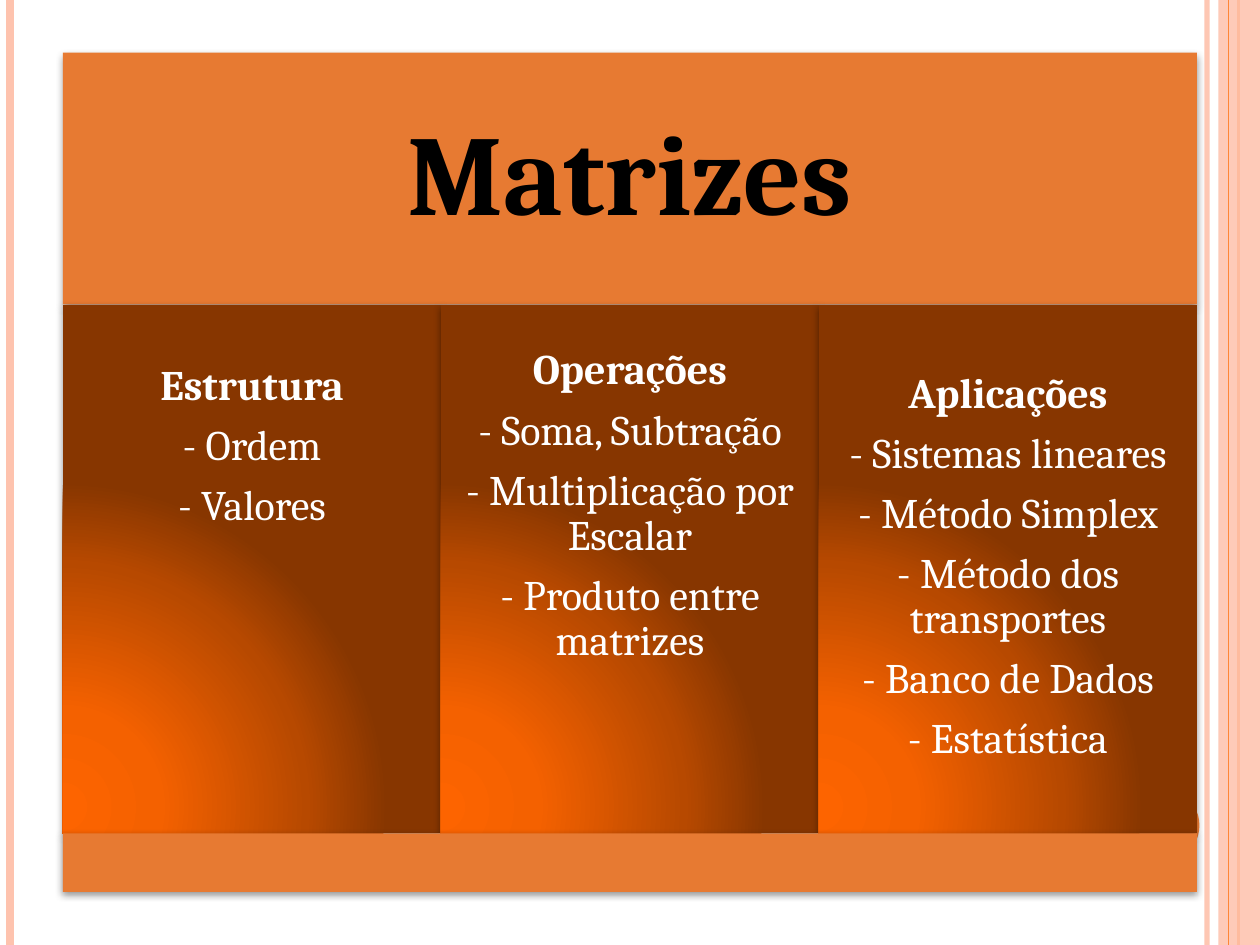
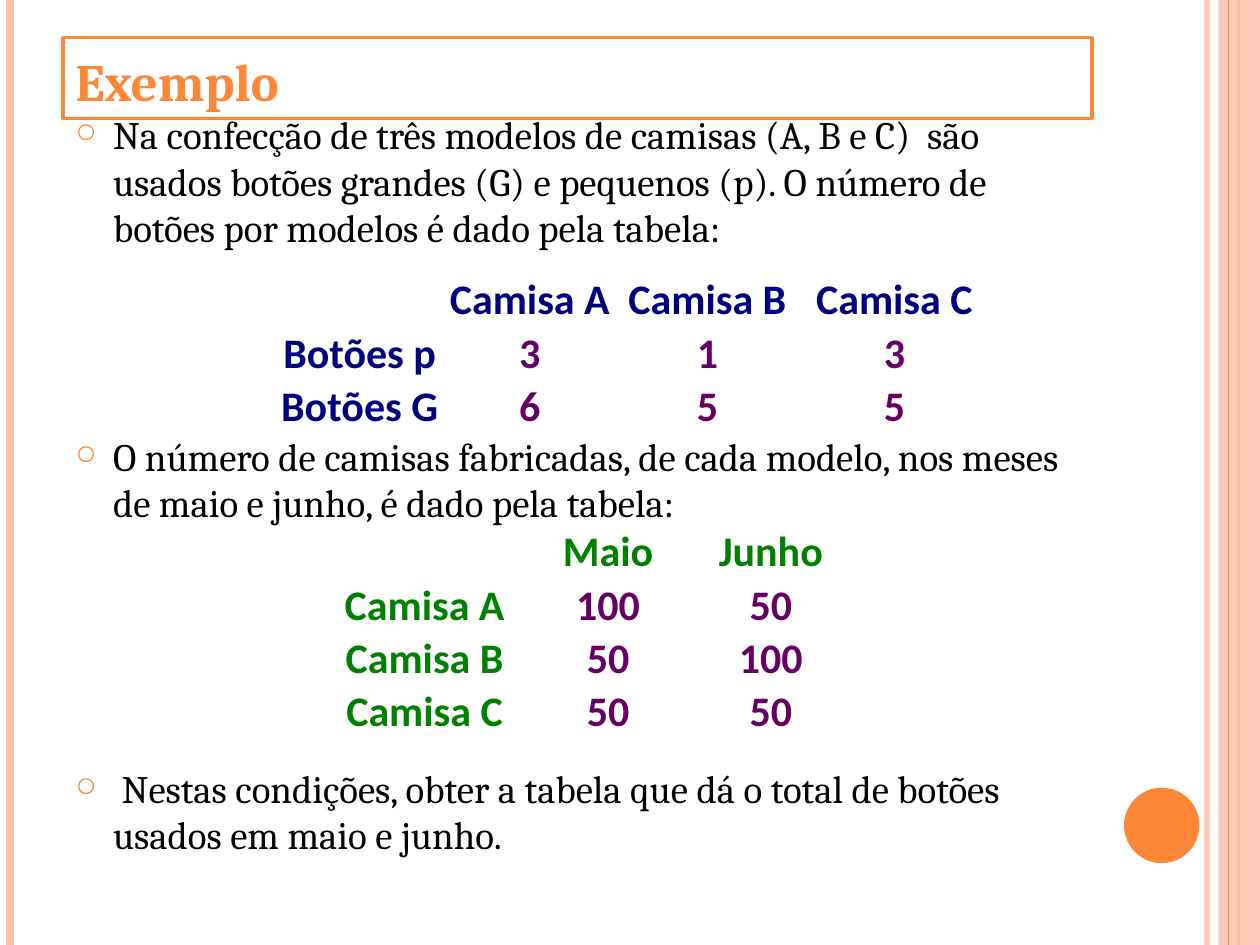
from lxml import etree
from pptx import Presentation
from pptx import util as u
from pptx.dml.color import RGBColor
from pptx.enum import shapes, text
from pptx.oxml import parse_xml
from pptx.oxml.ns import nsdecls, qn

COLOURS = {
    "orange": "FE8637", "peach": "FEC3AE", "band": "E77A32", "white": "FFFFFF",
    "black": "000000", "navy": "000080", "green": "008000", "purple": "660066",
}
GLOW_STOPS = [(0, "FD6400"), (30, "F46100"), (75, "B74900"), (100, "873600")]
NO_STYLE = "{2D5ABB26-0587-4C30-8999-92F81FD0307C}"
RECTANGLE = shapes.MSO_SHAPE.RECTANGLE
CENTRE = text.PP_ALIGN.CENTER
MIDDLE = text.MSO_ANCHOR.MIDDLE
LEFT = 1.27  # left edge of the content, in cm


def add_box(slide, kind, place, colour, shadow=False):
    """Add a borderless filled shape; place is left, top, width, height in cm."""
    shape = slide.shapes.add_shape(kind, *[u.Cm(value) for value in place])
    shape.fill.solid()
    shape.fill.fore_color.rgb = RGBColor.from_string(COLOURS[colour])
    shape.line.fill.background()
    shape.shadow.inherit = False
    if shadow:
        shape._element.spPr.find(qn("a:effectLst")).append(parse_xml(
            f'<a:outerShdw {nsdecls("a")} blurRad="50800" dist="20000" dir="5400000" '
            'rotWithShape="0"><a:srgbClr val="000000"><a:alpha val="42000"/></a:srgbClr>'
            '</a:outerShdw>'))
    return shape


def write(paragraph, words, colour, size, font="Cambria", bold=False, **layout):
    run = paragraph.add_run()
    run.text = words
    run.font.color.rgb = RGBColor.from_string(COLOURS[colour])
    for name, value in {"size": u.Pt(size), "name": font, "bold": bold}.items():
        setattr(run.font, name, value)
    for name, value in layout.items():
        setattr(paragraph, name, value)


presentation = Presentation()
presentation.slide_width, presentation.slide_height = u.Cm(25.4), u.Cm(19.05)
overview, example = [
    presentation.slides.add_slide(presentation.slide_layouts[6]) for _ in range(2)]

# Side decoration: centre of each rail in cm, colour, width in points, opacity
RAILS = [(24.33, "peach", 3, 93), (0.2, "peach", 4.5, 100),
         (24.97, "orange", 1.5, 100), (24.77, "orange", 0.75, 100)]

for slide in (overview, example):
    for x, colour, width, opacity in RAILS:
        rail = slide.shapes.add_connector(
            shapes.MSO_CONNECTOR.STRAIGHT, u.Cm(x), 0, u.Cm(x), presentation.slide_height)
        rail.line.color.rgb = RGBColor.from_string(COLOURS[colour])
        rail.line.width = u.Pt(width)
        properties = rail._element.spPr
        etree.SubElement(properties, qn("a:effectLst"))
        tint = next(properties.iter(qn("a:srgbClr")))
        etree.SubElement(tint, qn("a:alpha"), val=str(opacity * 1000))
    side_band = add_box(slide, RECTANGLE, (24.56, 0, 0.84, 19.05), "peach")
    tint = next(side_band._element.spPr.iter(qn("a:srgbClr")))
    etree.SubElement(tint, qn("a:alpha"), val="87000")
    # The thin rail lies over the band
    slide.shapes._spTree.append(rail._element)
    add_box(slide, shapes.MSO_SHAPE.OVAL, (22.66, 15.88, 1.52, 1.52), "orange")

# Slide 1: overview of matrices
header = add_box(overview, RECTANGLE, (LEFT, 1.06, 22.86, 5.08), "band", shadow=True)
header.text_frame.vertical_anchor = MIDDLE
write(header.text_frame.paragraphs[0], "Matrizes", "black", 65, bold=True,
      alignment=CENTRE, line_spacing=0.9)

# Heading, items, distance from the panel top to the text in cm
PANELS = [
    ("Estrutura", ["- Ordem", "- Valores"], 1.21),
    ("Operações", ["- Soma, Subtração", "- Multiplicação por Escalar",
                   "- Produto entre matrizes"], 0.89),
    ("Aplicações", ["- Sistemas lineares", "- Método Simplex", "- Método dos transportes",
                    "- Banco de Dados", "- Estatística"], 1.36),
]
PANEL_WIDTH = 7.62
stops = "".join(f'<a:gs pos="{position * 1000}"><a:srgbClr val="{colour}"/></a:gs>'
                for position, colour in GLOW_STOPS)
glow = (f'<a:gradFill {nsdecls("a")} rotWithShape="1"><a:gsLst>{stops}</a:gsLst>'
        '<a:path path="circle"><a:fillToRect l="5000" t="100000" r="120000" b="10000"/>'
        '</a:path></a:gradFill>')

for column, (heading, items, text_top) in enumerate(PANELS):
    panel = add_box(overview, RECTANGLE,
                    (LEFT + column * PANEL_WIDTH, 6.14, PANEL_WIDTH, 10.66), "band", shadow=True)
    properties = panel._element.spPr
    properties.replace(properties.find(qn("a:solidFill")), parse_xml(glow))
    frame = panel.text_frame
    frame_format = {"vertical_anchor": text.MSO_ANCHOR.TOP, "word_wrap": True,
                    "margin_left": u.Cm(0.25), "margin_right": u.Cm(0.25),
                    "margin_top": u.Cm(text_top)}
    for name, value in frame_format.items():
        setattr(frame, name, value)
    for row, words in enumerate([heading] + items):
        paragraph = frame.add_paragraph() if row else frame.paragraphs[0]
        write(paragraph, words, "white", 24, bold=row == 0, alignment=CENTRE,
              line_spacing=0.9, space_after=u.Pt(8.4))

add_box(overview, RECTANGLE, (LEFT, 16.8, 22.86, 1.18), "band", shadow=True)

# Slide 2: worked example
title = add_box(example, RECTANGLE, (LEFT, 0.76, 20.75, 1.63), "white")
title.line.color.rgb = RGBColor.from_string(COLOURS["orange"])
title.line.width = u.Pt(2)
title.text_frame.vertical_anchor = text.MSO_ANCHOR.BOTTOM
write(title.text_frame.paragraphs[0], "Exemplo", "orange", 30, bold=True,
      alignment=text.PP_ALIGN.LEFT)

# Text and space before it in points, which leaves room for the tables
STATEMENTS = [
    ("Na confecção de três modelos de camisas (A, B e C)  são usados botões grandes (G) "
     "e pequenos (p). O número de botões por modelos é dado pela tabela:", 6),
    ("O número de camisas fabricadas, de cada modelo, nos meses de maio e junho, "
     "é dado pela tabela:", 103.8),
    (" Nestas condições, obter a tabela que dá o total de botões usados em maio e junho.",
     136.4),
]
body = example.shapes.add_textbox(u.Cm(LEFT), u.Cm(2.11), u.Cm(20.75), u.Cm(15.88))
body.text_frame.word_wrap = True
for row, (words, gap) in enumerate(STATEMENTS):
    paragraph = body.text_frame.add_paragraph() if row else body.text_frame.paragraphs[0]
    write(paragraph, words, "black", 22.2, space_before=u.Pt(gap))
    properties = paragraph._p.get_or_add_pPr()
    properties.set("marL", str(u.Cm(0.76)))
    properties.set("indent", str(u.Cm(-0.76)))
    bullet_colour = etree.SubElement(properties, qn("a:buClr"))
    etree.SubElement(bullet_colour, qn("a:srgbClr"), val=COLOURS["orange"])
    etree.SubElement(properties, qn("a:buSzPct"), val="70000")
    etree.SubElement(properties, qn("a:buChar"), char="○")

# Left and top in cm, column widths in cm, heading colour, rows
TABLES = [
    (5.51, 5.51, [3.48, 3.38, 3.78, 3.76], "navy",
     [["", "Camisa A", "Camisa B", "Camisa C"],
      ["Botões p", "3", "1", "3"],
      ["Botões G", "6", "5", "5"]]),
    (6.55, 10.59, [4.02, 3.38, 3.18], "green",
     [["", "Maio", "Junho"],
      ["Camisa A", "100", "50"],
      ["Camisa B", "50", "100"],
      ["Camisa C", "50", "50"]]),
]
ROW_HEIGHT = 1.07
for left, top, widths, heading_colour, rows in TABLES:
    table = example.shapes.add_table(
        len(rows), len(widths), u.Cm(left), u.Cm(top),
        u.Cm(sum(widths)), u.Cm(ROW_HEIGHT * len(rows))).table
    table.first_row = table.horz_banding = False
    table._tbl.tblPr.find(qn("a:tableStyleId")).text = NO_STYLE
    for column, width in zip(table.columns, widths):
        column.width = u.Cm(width)
    for row, values in enumerate(rows):
        table.rows[row].height = u.Cm(ROW_HEIGHT)
        for column, value in enumerate(values):
            cell = table.cell(row, column)
            cell.fill.background()
            cell.vertical_anchor = MIDDLE
            for side in ("left", "right", "top", "bottom"):
                setattr(cell, f"margin_{side}", u.Cm(0.03))
            if value:
                colour = "purple" if row and column else heading_colour
                write(cell.text_frame.paragraphs[0], value, colour, 24, font="Calibri",
                      bold=True, alignment=CENTRE)

presentation.save("out.pptx")
